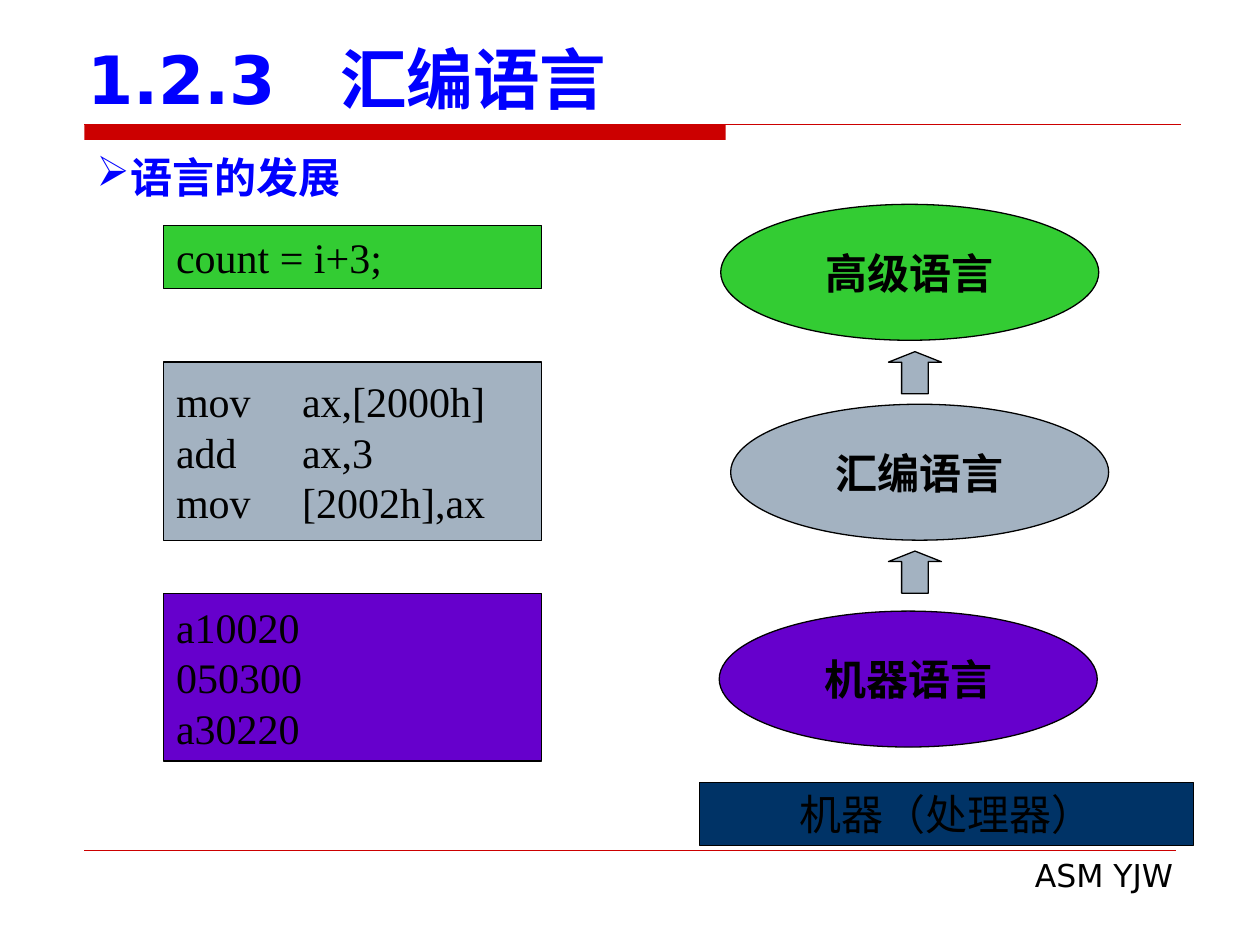
from lxml.etree import SubElement
from pptx import Presentation
from pptx.dml.color import RGBColor
from pptx.enum.shapes import MSO_CONNECTOR, MSO_SHAPE
from pptx.enum.text import MSO_ANCHOR, PP_ALIGN
from pptx.oxml.ns import qn
from pptx.util import Cm, Pt

BLACK = RGBColor(0x00, 0x00, 0x00)
BLUE = RGBColor(0x00, 0x00, 0xFF)
RED = RGBColor(0xCC, 0x00, 0x00)
GREEN = RGBColor(0x33, 0xCC, 0x33)
GREY = RGBColor(0xA3, 0xB2, 0xC1)
PURPLE = RGBColor(0x66, 0x00, 0xCC)
NAVY = RGBColor(0x00, 0x33, 0x66)
SANS, SERIF = "DejaVu Sans", "Times New Roman"

TITLE = "1.2.3\t汇编语言"
TOPIC = "语言的发展"
FOOTER = "ASM YJW"
MACHINE = "机器（处理器）"
LEVELS = [
    {"name": "高级语言", "fill": GREEN, "oval": (14.53, 4.12),
     "code": ["count = i+3;"], "top": 4.55, "height": 1.27},
    {"name": "汇编语言", "fill": GREY, "oval": (14.73, 8.15),
     "code": ["mov\tax,[2000h]", "add\tax,3", "mov\t[2002h],ax"],
     "top": 7.3, "height": 3.6},
    {"name": "机器语言", "fill": PURPLE, "oval": (14.5, 12.32),
     "code": ["a10020", "050300", "a30220"], "top": 11.96, "height": 3.38},
]
ARROW_TOPS = [7.09, 11.11]
CODE_LEFT, LEVEL_WIDTH, OVAL_HEIGHT = 3.3, 7.62, 2.74
MARGIN = 1.7


def add_tab(para, position):
    tabs = SubElement(para._p.get_or_add_pPr(), qn("a:tabLst"))
    SubElement(tabs, qn("a:tab"), pos=str(Cm(position)), algn="l")


def write(shape, lines, size, font, color=BLACK, bold=False,
          align=PP_ALIGN.LEFT, anchor=MSO_ANCHOR.MIDDLE, tab=None):
    frame = shape.text_frame
    frame.word_wrap = True
    frame.vertical_anchor = anchor
    for index, line in enumerate(lines):
        para = frame.add_paragraph() if index else frame.paragraphs[0]
        para.alignment = align
        if tab and "\t" in line:
            add_tab(para, tab)
        span = para.add_run()
        span.text = line
        span.font.size = Pt(size)
        span.font.name = font
        span.font.bold = bold
        span.font.color.rgb = color


def add_block(page, kind, left, top, width, height, fill, line=BLACK):
    block = page.shapes.add_shape(kind, Cm(left), Cm(top), Cm(width), Cm(height))
    block.shadow.inherit = False
    block.fill.solid()
    block.fill.fore_color.rgb = fill
    if line is None:
        block.line.fill.background()
    else:
        block.line.color.rgb = line
        block.line.width = Pt(0.75)
    return block


def add_rule(page, left, right, top, weight):
    rule = page.shapes.add_connector(
        MSO_CONNECTOR.STRAIGHT, Cm(left), Cm(top), Cm(right), Cm(top))
    rule.line.color.rgb = RED
    rule.line.width = Pt(weight)
    SubElement(rule._element.spPr, qn("a:effectLst"))


def add_text(page, left, top, width, height):
    return page.shapes.add_textbox(Cm(left), Cm(top), Cm(width), Cm(height))


def main():
    deck = Presentation()
    deck.slide_width, deck.slide_height = Cm(25.4), Cm(19.05)
    page = deck.slides.add_slide(deck.slide_layouts[5])

    add_block(page, MSO_SHAPE.RECTANGLE, MARGIN, 2.51, 12.93, 0.31, RED, None)
    add_rule(page, MARGIN, 23.8, 2.51, 0.75)
    add_rule(page, MARGIN, 23.7, 17.14, 0.25)

    footer = add_text(page, 9.7, 17.12, 14.2, 1.02)
    write(footer, [FOOTER], 18, SANS, align=PP_ALIGN.RIGHT)

    title = page.shapes.title
    title.left, title.top, title.width, title.height = Cm(1.5), Cm(0.71), Cm(23), Cm(1.8)
    write(title, [TITLE], 38, SANS, BLUE, True, anchor=MSO_ANCHOR.BOTTOM, tab=5.1)

    topic = add_text(page, MARGIN, 2.92, 22, 1.27)
    properties = topic.text_frame.paragraphs[0]._p.get_or_add_pPr()
    bullet_color = SubElement(properties, qn("a:buClr"))
    SubElement(bullet_color, qn("a:srgbClr"), val=str(BLUE))
    SubElement(properties, qn("a:buChar"), char="➢")
    write(topic, [TOPIC], 24, SANS, BLUE, True)

    machine = add_block(page, MSO_SHAPE.RECTANGLE, 14.1, 15.77, 9.96, 1.27, NAVY)
    write(machine, [MACHINE], 24, SERIF, align=PP_ALIGN.CENTER)

    for level in LEVELS:
        oval = add_block(page, MSO_SHAPE.OVAL, *level["oval"],
                         LEVEL_WIDTH, OVAL_HEIGHT, level["fill"])
        write(oval, [level["name"]], 24, SERIF, bold=True, align=PP_ALIGN.CENTER)
        code = add_block(page, MSO_SHAPE.RECTANGLE, CODE_LEFT, level["top"],
                         LEVEL_WIDTH, level["height"], level["fill"])
        write(code, level["code"], 24, SERIF, tab=2.54)

    for top in ARROW_TOPS:
        arrow = add_block(page, MSO_SHAPE.UP_ARROW, 17.91, top, 1.07, 0.85, GREY)
        arrow.adjustments[0] = 0.5
        arrow.adjustments[1] = 0.25

    deck.save("out.pptx")


if __name__ == "__main__":
    main()
